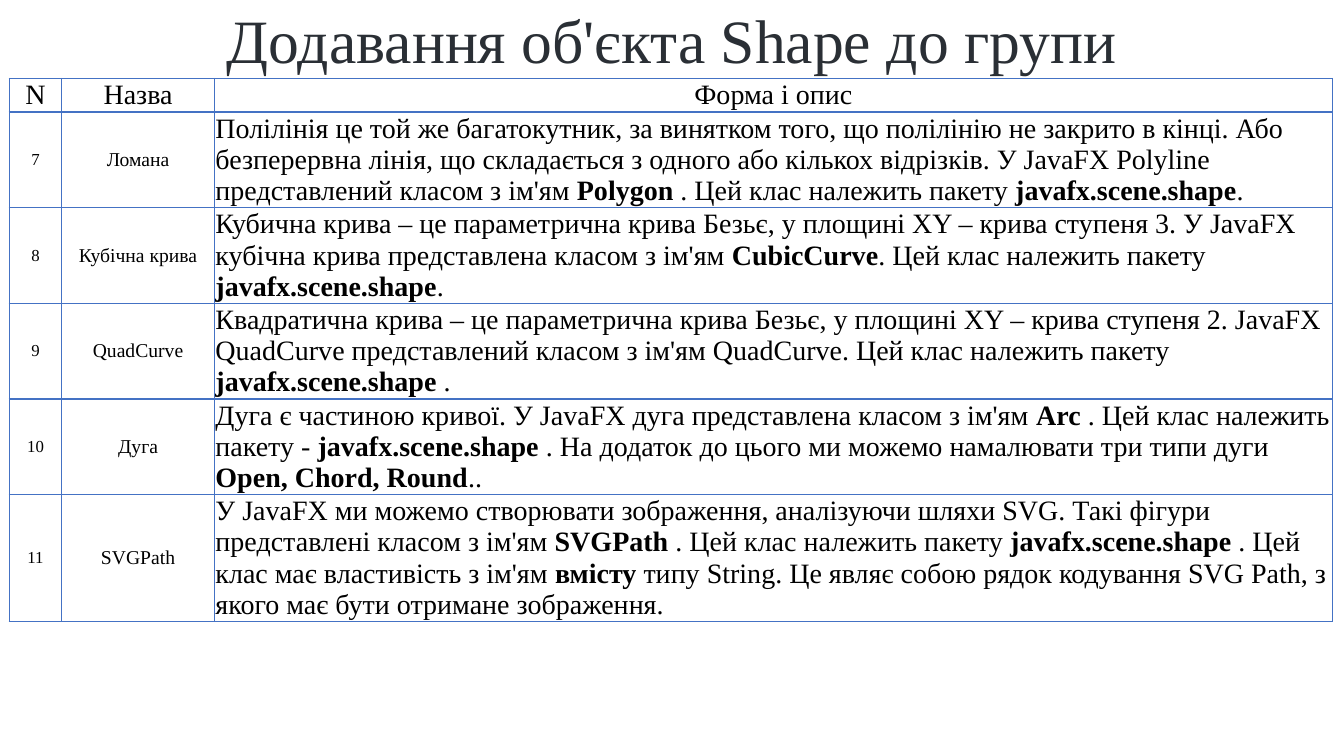
from lxml.etree import SubElement
from pptx import Presentation
from pptx.dml.color import RGBColor
from pptx.enum.text import MSO_ANCHOR, PP_ALIGN
from pptx.oxml.ns import qn
from pptx.util import Cm, Pt

FONT = "Times New Roman"
INK = RGBColor(0x2A, 0x2F, 0x35)
BLACK = RGBColor(0, 0, 0)
BLUE = RGBColor(0x44, 0x72, 0xC4)

TITLE = "Додавання об'єкта Shape до групи"
HEAD = ("N", "Назва", "Форма і опис")
# Asterisks enclose bold words.
SHAPES = [
    ("7", "Ломана",
     "Полілінія це той же багатокутник, за винятком того, що полілінію не закрито в кінці. Або "
     "безперервна лінія, що складається з одного або кількох відрізків. У JavaFX Polyline "
     "представлений класом з ім'ям *Polygon* . Цей клас належить пакету *javafx.scene.shape*."),
    ("8", "Кубічна крива",
     "Кубична крива – це параметрична крива Безьє, у площині XY – крива ступеня 3. У JavaFX "
     "кубічна крива представлена класом з ім'ям *CubicCurve*. Цей клас належить "
     "пакету *javafx.scene.shape*."),
    ("9", "QuadCurve",
     "Квадратична крива – це параметрична крива Безьє, у площині XY – крива ступеня 2. JavaFX "
     "QuadCurve представлений класом з ім'ям QuadCurve. Цей клас належить "
     "пакету *javafx.scene.shape* ."),
    ("10", "Дуга",
     "Дуга є частиною кривої. У JavaFX дуга представлена класом з ім'ям *Arc* . Цей клас належить "
     "пакету - *javafx.scene.shape* . На додаток до цього ми можемо намалювати три типи "
     "дуги *Open, Chord, Round*.."),
    ("11", "SVGPath",
     "У JavaFX ми можемо створювати зображення, аналізуючи шляхи SVG. Такі фігури "
     "представлені класом з ім'ям *SVGPath* . Цей клас належить пакету *javafx.scene.shape* . Цей "
     "клас має властивість з ім'ям *вмісту* типу String. Це являє собою рядок кодування SVG Path, з "
     "якого має бути отримане зображення."),
]
COLS = (1.33, 3.84, 28.18)
ROWS = (0.83, 2.39, 2.39, 2.39, 2.39, 3.18)
SIZES = (12, 14, 20)


def set_font(para, size, color):
    para.font.name = FONT
    para.font.size = Pt(size)
    para.font.color.rgb = color


def add_title(slide, left, top, width, height):
    title = slide.shapes.title
    title.left, title.top, title.width, title.height = left, top, width, height
    frame = title.text_frame
    frame.text = TITLE
    frame.vertical_anchor = MSO_ANCHOR.MIDDLE
    para = frame.paragraphs[0]
    para.alignment = PP_ALIGN.CENTER
    para.line_spacing = 0.9
    set_font(para, 44, INK)


def add_border(cell):
    props = cell._tc.get_or_add_tcPr()
    for side in ("a:lnL", "a:lnR", "a:lnT", "a:lnB"):
        line = SubElement(props, qn(side), w=str(Pt(1)))
        fill = SubElement(line, qn("a:solidFill"))
        SubElement(fill, qn("a:srgbClr"), val=str(BLUE))


def fill_cell(cell, text, size, align, anchor):
    add_border(cell)
    cell.fill.background()
    cell.margin_left = cell.margin_right = Cm(0.03)
    cell.margin_top = cell.margin_bottom = Cm(0.03)
    cell.vertical_anchor = anchor
    para = cell.text_frame.paragraphs[0]
    para.alignment = align
    set_font(para, size, BLACK)
    for i, part in enumerate(text.split("*")):
        run = para.add_run()
        run.text = part
        if i % 2:
            run.font.bold = True


def add_grid(slide, left, top, width, height):
    table = slide.shapes.add_table(len(ROWS), len(COLS), left, top, width, height).table
    table.first_row = table.horz_banding = False
    for col, size in zip(table.columns, COLS):
        col.width = Cm(size)
    for row, size in zip(table.rows, ROWS):
        row.height = Cm(size)
    for c, text in enumerate(HEAD):
        fill_cell(table.cell(0, c), text, 20, PP_ALIGN.CENTER, MSO_ANCHOR.TOP)
    for r, shape in enumerate(SHAPES, 1):
        for c, text in enumerate(shape):
            last = c == len(COLS) - 1
            align = PP_ALIGN.LEFT if last else PP_ALIGN.CENTER
            anchor = MSO_ANCHOR.TOP if last else MSO_ANCHOR.MIDDLE
            fill_cell(table.cell(r, c), text, SIZES[c], align, anchor)


def main():
    deck = Presentation()
    deck.slide_width, deck.slide_height = Cm(33.87), Cm(19.05)
    slide = deck.slides.add_slide(deck.slide_layouts[5])
    add_title(slide, 0, 0, deck.slide_width, Cm(2.2))
    add_grid(slide, Cm(0.23), Cm(1.98), Cm(sum(COLS)), Cm(sum(ROWS)))
    deck.save("out.pptx")


if __name__ == "__main__":
    main()
